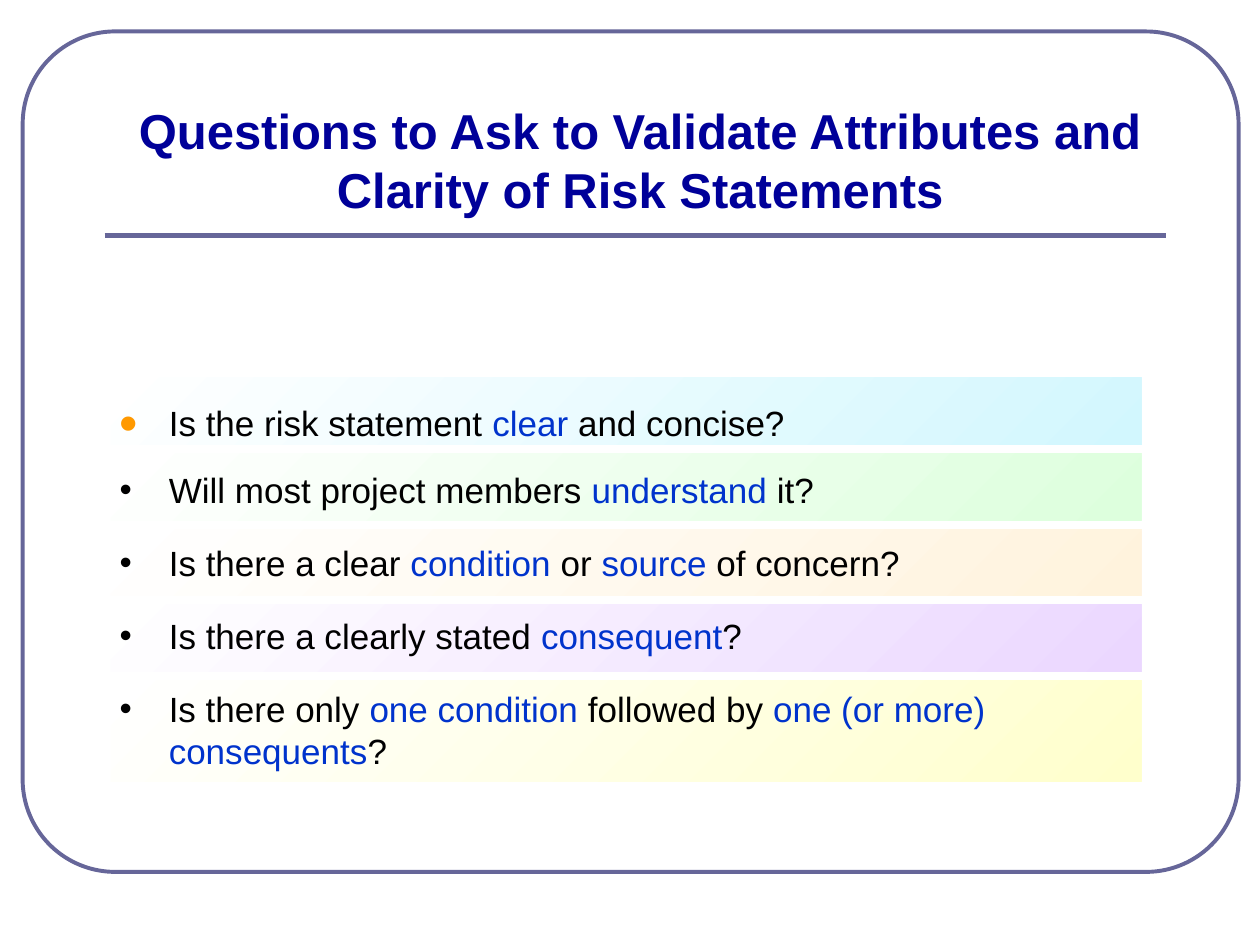
from lxml import etree
from pptx import Presentation
from pptx import util as u
from pptx.dml.color import RGBColor
from pptx.enum import shapes, text
from pptx.oxml.ns import qn

HUES = {
    "frame": "666699", "title": "000099", "ink": "000000", "key": "0033CC",
    "dot": "FF9900", "white": "FFFFFF", "blue": "D2F7FE", "green": "DDFFDD",
    "peach": "FFF3DD", "plum": "EBD7FF", "lemon": "FFFFCC",
}
ITEMS = [
    ("blue", 0.53, 3.19, "Is the risk statement *clear* and concise?"),
    ("green", 0.53, 3.72, "Will most project members *understand* it?"),
    ("peach", 0.53, 4.3, "Is there a clear *condition* or *source* of concern?"),
    ("plum", 0.53, 4.88, "Is there a clearly stated *consequent*?"),
    ("lemon", 0.8, 5.46,
     "Is there only *one condition* followed by *one (or more) consequents*?"),
]


def tint(name):
    """Return the named colour."""
    return RGBColor.from_string(HUES[name])


def inches(*box):
    """Turn plain numbers into lengths."""
    return [u.Inches(n) for n in box]


def style(run, size, hue, bold=False):
    """Format one run."""
    font = run.font
    font.name, font.size, font.bold = "Arial", u.Pt(size), bold
    font.color.rgb = tint(hue)


def add_frame(slide, box):
    """Draw the rounded border and the rule under the title."""
    x, y, w, h = box
    edge = slide.shapes.add_shape(
        shapes.MSO_SHAPE.ROUNDED_RECTANGLE, *inches(*box))
    edge.adjustments[0] = 0.11
    edge.shadow.inherit = False
    edge.fill.background()
    rule = slide.shapes.add_connector(
        shapes.MSO_CONNECTOR.STRAIGHT,
        *inches(x + 0.65, y + 1.62, x + w - 0.58, y + 1.62))
    etree.SubElement(rule._element.spPr, qn("a:effectLst"))
    for part, width in ((edge, 2.25), (rule, 3)):
        part.line.color.rgb = tint("frame")
        part.line.width = u.Pt(width)


def add_title(slide, box, words):
    """Place and format the title."""
    title = slide.shapes.title
    title.left, title.top, title.width, title.height = inches(*box)
    frame = title.text_frame
    frame.text = words
    frame.word_wrap = True
    frame.auto_size = text.MSO_AUTO_SIZE.NONE
    frame.vertical_anchor = text.MSO_ANCHOR.MIDDLE
    line = frame.paragraphs[0]
    line.alignment = text.PP_ALIGN.CENTER
    style(line.runs[0], 28, "title", True)


def add_band(slide, box, hue):
    """Draw one bar that fades from white to its colour."""
    band = slide.shapes.add_shape(shapes.MSO_SHAPE.RECTANGLE, *inches(*box))
    band.shadow.inherit = False
    band.line.fill.background()
    band.fill.gradient()
    band.fill.gradient_angle = 315
    for stop, name in zip(band.fill.gradient_stops, ("white", hue)):
        stop.color.rgb = tint(name)


def add_bullet(line, accent):
    """Give a paragraph a hanging bullet."""
    props = line._p.get_or_add_pPr()
    props.set("marL", str(u.Inches(0.61)))
    props.set("indent", str(u.Inches(-0.39)))
    if accent:
        hue = etree.SubElement(props, qn("a:buClr"))
        etree.SubElement(hue, qn("a:srgbClr"), val=HUES["dot"])
        etree.SubElement(props, qn("a:buSzPct"), val="150000")
    etree.SubElement(props, qn("a:buFont"), typeface="Arial")
    etree.SubElement(props, qn("a:buChar"), char="•")


def add_item(slide, box, words, accent):
    """Write one question, with the starred words in the key colour."""
    frame = slide.shapes.add_textbox(*inches(*box)).text_frame
    frame.word_wrap = True
    frame.margin_left = frame.margin_right = 0
    frame.margin_top = frame.margin_bottom = 0
    line = frame.paragraphs[0]
    add_bullet(line, accent)
    for i, piece in enumerate(words.split("*")):
        run = line.add_run()
        run.text = piece
        style(run, 20, "key" if i % 2 else "ink")


def add_list(slide, box):
    """Stack the bars at an even pitch and lay the questions over them."""
    x, y, w, pitch = box
    for i, (hue, high, _, _) in enumerate(ITEMS):
        add_band(slide, (x, y + i * pitch, w, high), hue)
    for i, (_, high, top, words) in enumerate(ITEMS):
        wide = 7.53 if high > pitch else w
        add_item(slide, (x - 0.15, top, wide, high - 0.14), words, i == 0)


def main():
    """Build and save the slide."""
    deck = Presentation()
    deck.slide_width, deck.slide_height = inches(10, 7.5)
    slide = deck.slides.add_slide(deck.slide_layouts[5])
    add_frame(slide, (0.18, 0.25, 9.65, 6.67))
    add_title(slide, (0.73, 0.75, 8.7, 1.03),
              "Questions to Ask to Validate Attributes and "
              "Clarity of Risk Statements")
    add_list(slide, (0.88, 3, 8.18, 0.6))
    deck.save("out.pptx")


if __name__ == "__main__":
    main()
